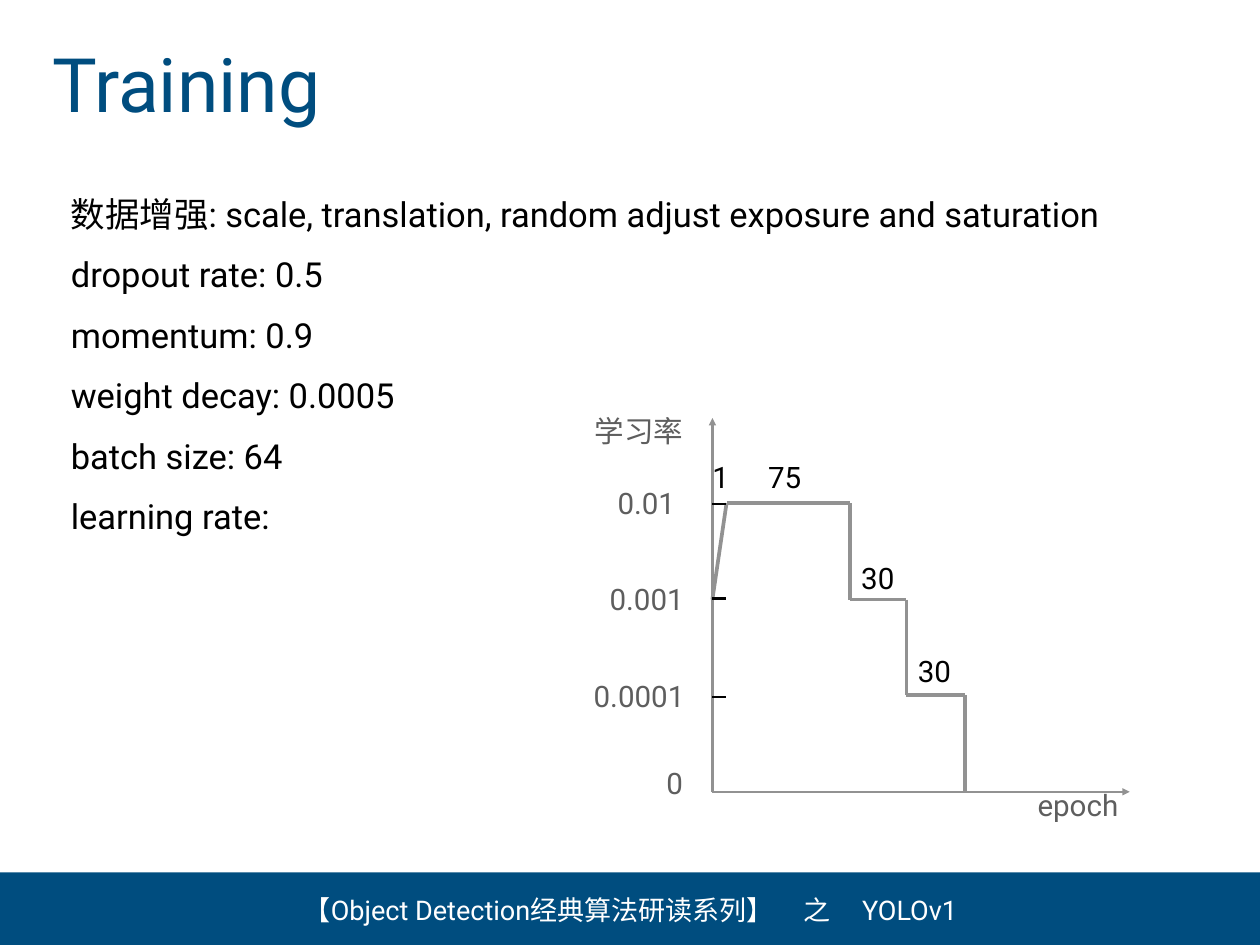
"""Build the Training slide: hyperparameter list and stepped learning-rate diagram."""
from itertools import pairwise

from lxml.etree import SubElement
from pptx import Presentation
from pptx.dml.color import RGBColor
from pptx.enum.shapes import MSO_CONNECTOR as CONNECTOR, MSO_SHAPE as SHAPE
from pptx.enum.text import MSO_ANCHOR as ANCHOR, MSO_AUTO_SIZE as AUTO_SIZE, PP_ALIGN as ALIGN
from pptx.oxml.ns import qn
from pptx.util import Inches, Pt

BLUE, GRAY, LABEL_GRAY, BLACK, WHITE = "004D7F", "929292", "5E5E5E", "000000", "FFFFFF"
FONT = "Roboto"


def add_span(para, text, size, color):
    para.alignment = ALIGN.LEFT
    span = para.add_run()
    span.text = text
    span.font.size = Pt(size)
    span.font.color.rgb = RGBColor.from_string(color)
    span.font.name = FONT
    SubElement(span.font._element, qn("a:ea"), typeface=FONT)


def add_line(start, end, color, width, arrow=False):
    line = page.shapes.add_connector(CONNECTOR.STRAIGHT, *map(Inches, start + end))
    line.line.color.rgb = RGBColor.from_string(color)
    line.line.width = Pt(width)
    if arrow:
        SubElement(line.line._get_or_add_ln(), qn("a:tailEnd"), type="triangle")
    SubElement(line._element.spPr, qn("a:effectLst"))


deck = Presentation()
deck.slide_width, deck.slide_height = Inches(14.22), Inches(10.67)
page = deck.slides.add_slide(deck.slide_layouts[1])

title, body = page.placeholders
title.left, title.top, title.width, title.height = map(Inches, (0.53, 0.38, 4, 1.11))
add_span(title.text_frame.paragraphs[0], "Training", 61, BLUE)

body.left, body.top, body.width, body.height = map(Inches, (0.74, 2.12, 12.5, 4.03))
settings = [
    "数据增强: scale, translation, random adjust exposure and saturation",
    "dropout rate: 0.5",
    "momentum: 0.9",
    "weight decay: 0.0005",
    "batch size: 64",
    "learning rate:",
]
for index, setting in enumerate(settings):
    para = body.text_frame.add_paragraph() if index else body.text_frame.paragraphs[0]
    add_span(para, setting, 28, BLACK)
    para.space_before = Pt(15.5 if index else 0)
    props = para._p.get_or_add_pPr()
    props.set("marL", "0")
    props.set("indent", "0")
    SubElement(props, qn("a:buNone"))

origin = (8.04, 8.94)
for axis_end in [(8.04, 4.72), (12.75, 8.94)]:
    add_line(origin, axis_end, GRAY, 2, arrow=True)

rate_curve = [
    (8.04, 6.77), (8.2, 5.68), (9.59, 5.68), (9.59, 6.77),
    (10.23, 6.77), (10.23, 7.85), (10.89, 7.85), (10.89, 8.95),
]
for start, end in pairwise(rate_curve):
    add_line(start, end, GRAY, 3)

for tick_y in (5.69, 6.76, 7.87):
    add_line((8.04, tick_y), (8.19, tick_y), BLACK, 2)

labels = [
    ("epoch", 11.65, 8.84, 1.06, 0.5, LABEL_GRAY),
    ("学习率", 6.65, 4.58, 1.13, 0.57, LABEL_GRAY),
    ("0.01", 6.91, 5.43, 0.77, 0.5, LABEL_GRAY),
    ("0.001", 6.82, 6.51, 0.96, 0.5, LABEL_GRAY),
    ("0.0001", 6.64, 7.6, 1.14, 0.5, LABEL_GRAY),
    ("0", 7.46, 8.59, 0.31, 0.5, LABEL_GRAY),
    ("1", 7.98, 5.13, 0.31, 0.5, BLACK),
    ("75", 8.61, 5.13, 0.5, 0.5, BLACK),
    ("30", 9.66, 6.27, 0.5, 0.5, BLACK),
    ("30", 10.3, 7.32, 0.5, 0.5, BLACK),
]
for text, left, top, width, height, color in labels:
    box = page.shapes.add_textbox(*map(Inches, (left, top, width, height)))
    box.text_frame.word_wrap = False
    add_span(box.text_frame.paragraphs[0], text, 24, color)

footer = page.shapes.add_shape(SHAPE.RECTANGLE, *map(Inches, (0, 9.85, 14.22, 0.85)))
footer.shadow.inherit = False
footer.fill.solid()
footer.fill.fore_color.rgb = RGBColor.from_string(BLUE)
footer.line.fill.background()
footer_para = footer.text_frame.paragraphs[0]
add_span(footer_para, "【Object Detection经典算法研读系列】\t之\tYOLOv1", 22, WHITE)
tab_list = SubElement(footer_para._p.get_or_add_pPr(), qn("a:tabLst"))
for stop in (5.64, 6.3):
    SubElement(tab_list, qn("a:tab"), pos=str(Inches(stop)), algn="l")

for shape in page.shapes:
    if shape.has_text_frame:
        frame = shape.text_frame
        frame.auto_size = AUTO_SIZE.NONE
        frame.vertical_anchor = ANCHOR.MIDDLE
        frame.margin_left = frame.margin_right = Inches(0.06)
        frame.margin_top = frame.margin_bottom = Inches(0.06)
body.text_frame.vertical_anchor = ANCHOR.TOP
footer.text_frame.margin_left = Inches(3.43)

deck.save("out.pptx")
